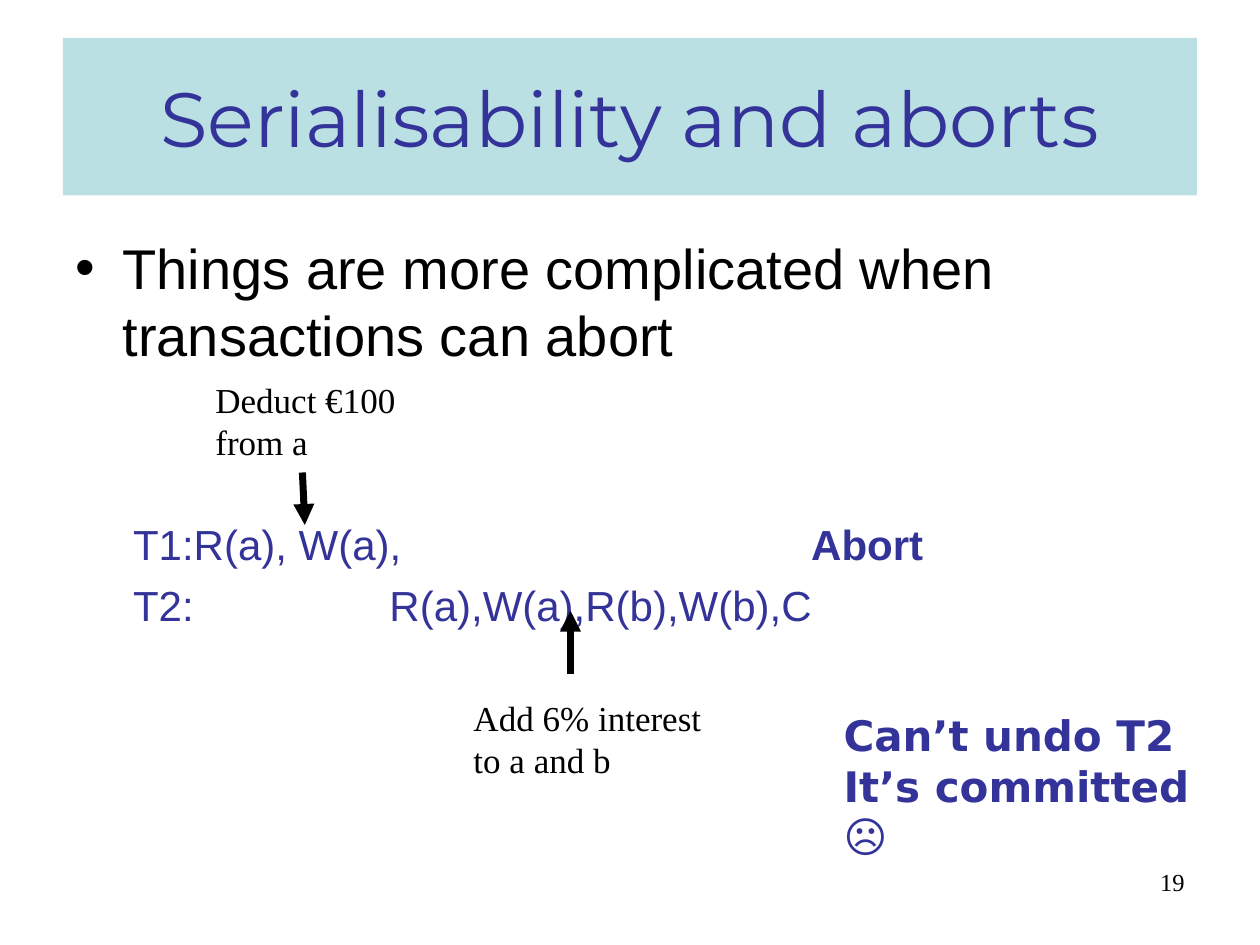
from lxml import etree
from pptx import Presentation
from pptx.dml.color import RGBColor
from pptx.enum import shapes, text
from pptx.oxml import ns
from pptx.util import Pt

INK = RGBColor(0x00, 0x00, 0x00)
INDIGO = RGBColor(0x33, 0x33, 0x99)
PALE_TEAL = RGBColor(0xBB, 0xE0, 0xE3)
SERIF = "Times New Roman"


def add_xml(parent, tag, **attributes):
    return etree.SubElement(parent, ns.qn(tag), attributes)


def write(frame, paragraphs, size, font, color=INK, align=text.PP_ALIGN.LEFT,
          anchor=text.MSO_ANCHOR.TOP, gap=0, bullet=None, tabs=()):
    """Fill a frame; each paragraph is a list of (wording, bold) runs."""
    frame.word_wrap = True
    frame.vertical_anchor = anchor
    for index, runs in enumerate(paragraphs):
        paragraph = frame.add_paragraph() if index else frame.paragraphs[0]
        properties = paragraph._p.get_or_add_pPr()
        if bullet:
            properties.set("marL", str(Pt(27)))
            properties.set("indent", str(-Pt(27)))
            add_xml(properties, "a:buFont", typeface=font)
            add_xml(properties, "a:buChar", char=bullet)
        if tabs:
            stops = add_xml(properties, "a:tabLst")
            for stop in tabs:
                add_xml(stops, "a:tab", pos=str(Pt(stop)), algn="l")
        paragraph.alignment = align
        if index and gap:
            paragraph.space_before = Pt(gap)
        for wording, bold in runs:
            run = paragraph.add_run()
            run.text = wording
            run.font.size = Pt(size)
            run.font.name = font
            run.font.bold = bold
            run.font.color.rgb = color


def add_text(slide, left, top, width, height, paragraphs, size, font, **options):
    box = slide.shapes.add_textbox(Pt(left), Pt(top), Pt(width), Pt(height))
    write(box.text_frame, paragraphs, size, font, **options)


def add_title(slide, wording):
    banner = slide.shapes.add_shape(shapes.MSO_SHAPE.RECTANGLE,
                                    Pt(36), Pt(21.6), Pt(648), Pt(90))
    banner.shadow.inherit = False
    banner.fill.solid()
    banner.fill.fore_color.rgb = PALE_TEAL
    banner.line.fill.background()
    write(banner.text_frame, [[(wording, False)]], 44, "Montserrat", color=INDIGO,
          align=text.PP_ALIGN.CENTER, anchor=text.MSO_ANCHOR.MIDDLE)


def add_arrow(slide, x1, y1, x2, y2):
    arrow = slide.shapes.add_connector(shapes.MSO_CONNECTOR.STRAIGHT,
                                       Pt(x1), Pt(y1), Pt(x2), Pt(y2))
    arrow.line.color.rgb = INK
    arrow.line.width = Pt(4)
    add_xml(arrow.line._get_or_add_ln(), "a:tailEnd", type="triangle")
    add_xml(arrow._element.spPr, "a:effectLst")


def main():
    deck = Presentation()
    deck.slide_width, deck.slide_height = Pt(720), Pt(540)
    slide = deck.slides.add_slide(deck.slide_layouts[6])

    # Heading and main point
    add_title(slide, "Serialisability and aborts")
    add_text(slide, 36, 130, 648, 84,
             [[("Things are more complicated when transactions can abort", False)]],
             32, "Arial", bullet="•")

    # Schedule: tab stops mark when each transaction acts
    schedule = [
        [("T1:R(a), W(a),\t", False), ("Abort", True)],
        [("T2:\tR(a),W(a),R(b),W(b),C", False)],
    ]
    add_text(slide, 69, 293, 560, 70, schedule, 24, "Arial",
             color=INDIGO, gap=6, tabs=(146.5, 387.5))

    # Explanations of the two updates
    add_text(slide, 116, 213, 130, 55.5,
             [[("Deduct €100", False)], [("from a", False)]], 20, SERIF)
    add_arrow(slide, 172.8, 270, 174.2, 300)
    add_text(slide, 263.5, 394.5, 160, 55.5,
             [[("Add 6% interest", False)], [("to a and b", False)]], 20, SERIF)
    add_arrow(slide, 326, 385, 326, 349)

    # Consequence
    add_text(slide, 475, 402, 216, 95,
             [[("Can’t undo T2", True)], [("It’s committed ☹", True)]],
             24, "DejaVu Sans", color=INDIGO)

    # Page number
    add_text(slide, 516, 492, 168, 37.5, [[("19", False)]], 14, SERIF,
             align=text.PP_ALIGN.RIGHT)

    deck.save("out.pptx")


if __name__ == "__main__":
    main()
